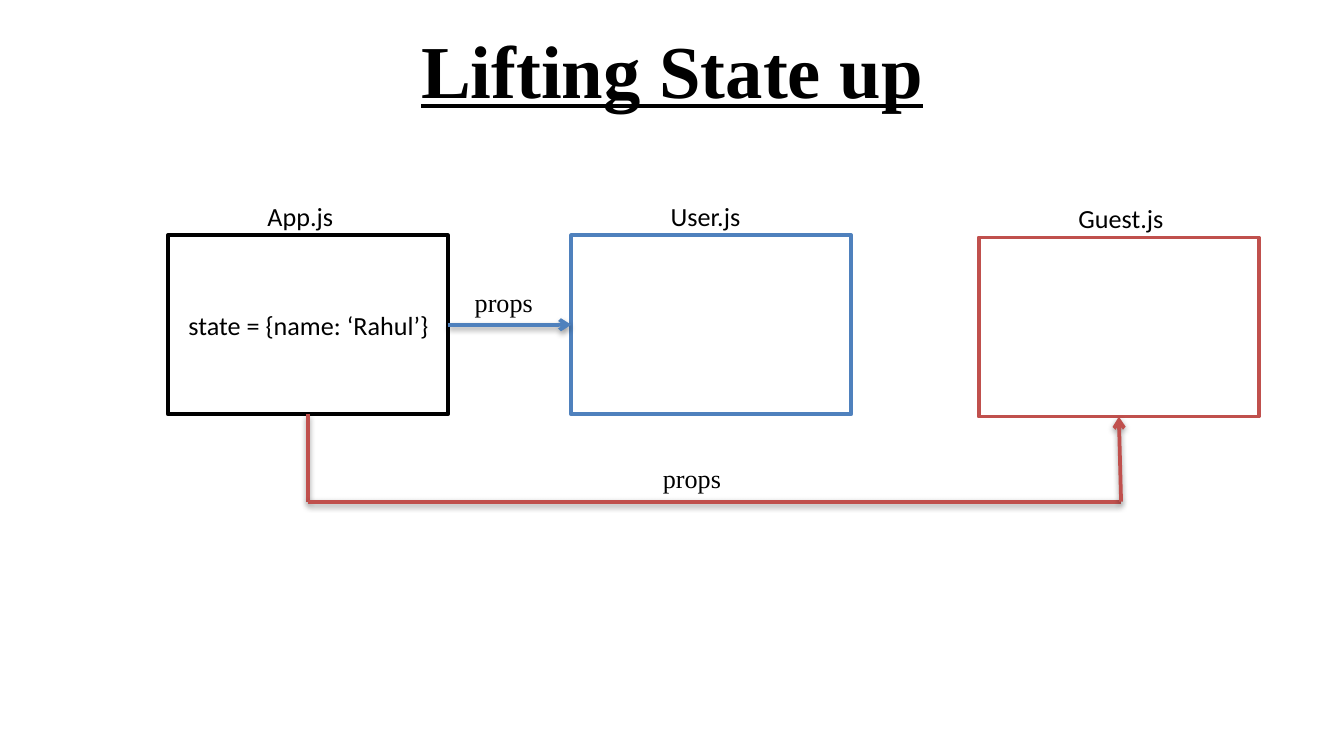
"""Build the slide that shows state lifted up and passed down as props."""
from dataclasses import dataclass

from lxml import etree
from pptx import Presentation
from pptx.dml.color import RGBColor
from pptx.enum.shapes import MSO_CONNECTOR, MSO_SHAPE
from pptx.enum.text import MSO_ANCHOR, MSO_AUTO_SIZE, PP_ALIGN
from pptx.oxml.ns import qn
from pptx.util import Inches, Pt

RECTANGLE = MSO_SHAPE.RECTANGLE
STRAIGHT = MSO_CONNECTOR.STRAIGHT
MIDDLE = MSO_ANCHOR.MIDDLE
GROW, FIXED = MSO_AUTO_SIZE.SHAPE_TO_FIT_TEXT, MSO_AUTO_SIZE.NONE
LEFT, CENTER = PP_ALIGN.LEFT, PP_ALIGN.CENTER

WIDTH, HEIGHT = Inches(10), Inches(5.625)
CELL = WIDTH / 120
BOX_COLUMNS, BOX_ROWS = 25, 16
LABEL_ROWS = 4.08


@dataclass(frozen=True)
class Theme:
    """Hold the colours, fonts and type sizes."""
    black: RGBColor = RGBColor(0, 0, 0)
    white: RGBColor = RGBColor(255, 255, 255)
    blue: RGBColor = RGBColor(0x4F, 0x81, 0xBD)
    red: RGBColor = RGBColor(0xC0, 0x50, 0x4D)
    sans: str = "Calibri"
    serif: str = "Times New Roman"
    title_size: int = Pt(40)
    label_size: int = Pt(14)
    line_width: int = Pt(2)


THEME = Theme()


def grid(*cells):
    """Turn columns and rows of the grid into lengths."""
    return [round(cell * CELL) for cell in cells]


def apply_format(target, values):
    """Set each attribute in a dict of format values."""
    for name, value in values.items():
        setattr(target, name, value)


def write_text(shape, text, alignment, font_values):
    """Write one formatted paragraph into a shape."""
    paragraph = shape.text_frame.paragraphs[0]
    paragraph.alignment = alignment
    run = paragraph.add_run()
    run.text = text
    run.font.color.rgb = THEME.black
    apply_format(run.font, font_values)


def add_title(slide, text):
    """Place the title in the title placeholder."""
    title = slide.shapes.title
    apply_format(title, {"left": round(WIDTH * 0.05), "top": round(HEIGHT * 0.007),
                         "width": round(WIDTH * 0.9), "height": round(HEIGHT / 6)})
    apply_format(title.text_frame, {"auto_size": FIXED, "vertical_anchor": MIDDLE})
    write_text(title, text, CENTER, {"name": THEME.serif, "size": THEME.title_size,
                                     "bold": True, "underline": True})


def add_label(slide, text, column, row, columns, font=THEME.sans, alignment=LEFT):
    """Add a one-line label at a grid position."""
    label = slide.shapes.add_textbox(*grid(column, row, columns, LABEL_ROWS))
    apply_format(label.text_frame, {"word_wrap": False, "auto_size": GROW})
    write_text(label, text, alignment, {"name": font, "size": THEME.label_size})


def add_component(slide, name, column, row, label_columns, color):
    """Add an outlined component box with its file name above."""
    box = slide.shapes.add_shape(RECTANGLE, *grid(column, row, BOX_COLUMNS, BOX_ROWS))
    box.shadow.inherit = False
    box.fill.solid()
    box.fill.fore_color.rgb = THEME.white
    box.line.color.rgb = color
    box.line.width = THEME.line_width
    add_label(slide, name, column + 7.7, row - 3.7, label_columns)
    return box


def add_line(shapes, start, end, color, arrow=False):
    """Add a straight line between grid points, with an arrowhead if asked."""
    connector = shapes.add_connector(STRAIGHT, *grid(*start, *end))
    connector.line.color.rgb = color
    connector.line.width = THEME.line_width
    if arrow:
        outline = connector.line._get_or_add_ln()
        etree.SubElement(outline, qn("a:tailEnd"), type="arrow")
    return connector


def add_path(slide, points, color):
    """Add a grouped path of lines that ends in an arrowhead."""
    group = slide.shapes.add_group_shape()
    for start, end in zip(points, points[1:]):
        add_line(group.shapes, start, end, color, end == points[-1])


def main():
    """Build and save the presentation."""
    presentation = Presentation()
    apply_format(presentation, {"slide_width": WIDTH, "slide_height": HEIGHT})
    slide = presentation.slides.add_slide(presentation.slide_layouts[5])
    add_title(slide, "Lifting State up")

    components = [("App.js", 15, 21, 8.4, THEME.black),
                  ("User.js", 51, 21, 8.8, THEME.blue),
                  ("Guest.js", 87.4, 21.2, 10.1, THEME.red)]
    app, user, _ = [add_component(slide, *component) for component in components]

    arrow = add_line(slide.shapes, (40, 29), (51, 29), THEME.blue, arrow=True)
    arrow.begin_connect(app, 3)
    arrow.end_connect(user, 1)
    add_path(slide, [(27.5, 37), (27.5, 44.8), (100.1, 44.8), (99.9, 37.2)], THEME.red)

    add_label(slide, "state = {name: ‘Rahul’}", 15.5, 27, 24.1, alignment=CENTER)
    for column, row in ((41.2, 25), (58, 40.7)):
        add_label(slide, "props", column, row, 7.8, THEME.serif)
    presentation.save("out.pptx")


main()
